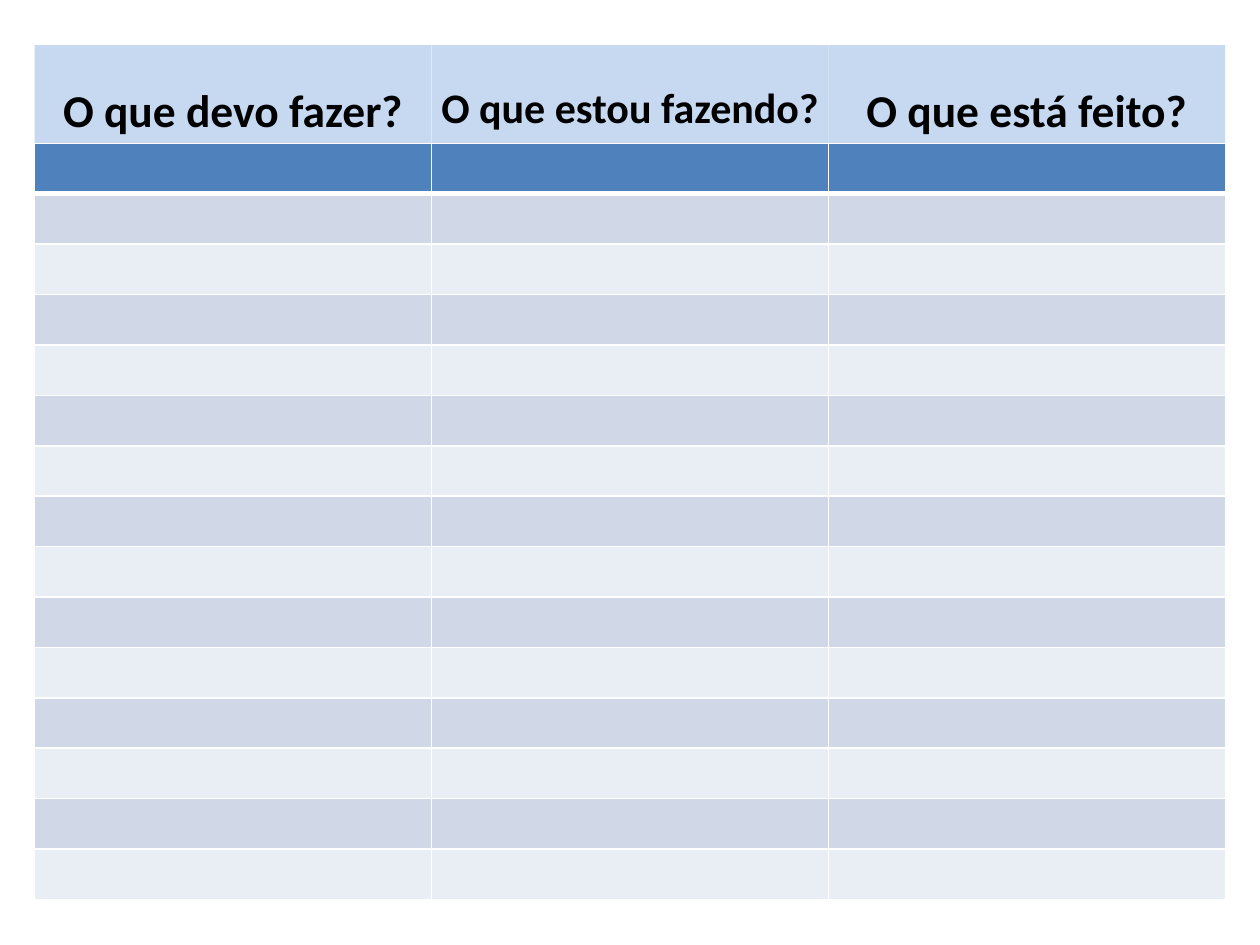
from lxml.etree import SubElement
from pptx import Presentation
from pptx.dml.color import RGBColor
from pptx.enum.shapes import MSO_SHAPE as Shape
from pptx.enum.text import MSO_AUTO_SIZE as AutoSize, PP_ALIGN as Align
from pptx.oxml.ns import qn
from pptx.util import Cm, Pt

PALE_BLUE = RGBColor(0xC6, 0xD9, 0xF1)
HEADER_BLUE = RGBColor(0x4F, 0x81, 0xBD)
BANDS = (RGBColor(0xD0, 0xD8, 0xE8), RGBColor(0xE9, 0xED, 0xF4))
WHITE = RGBColor(0xFF, 0xFF, 0xFF)
BLACK = RGBColor(0, 0, 0)

# Heading, text size, extra width on each side in cm
STAGES = (
    ("O que devo fazer?", 26, 0),
    ("O que estou fazendo?", 24, 0.2),
    ("O que está feito?", 26, 0),
)
TASK_ROWS = 15


def add_text(slide, text, left, top, width, height, *, size, color=BLACK,
             bold=True, font="Calibri", align=Align.CENTER):
    label = slide.shapes.add_textbox(left, top, width, height)
    frame = label.text_frame
    frame.word_wrap = True
    frame.auto_size = AutoSize.SHAPE_TO_FIT_TEXT
    paragraph = frame.paragraphs[0]
    paragraph.alignment = align
    run = paragraph.add_run()
    run.text = text
    run.font.name, run.font.size, run.font.bold = font, Pt(size), bold
    run.font.color.rgb = color


def style_cell(cell, fill, bottom_width=1):
    cell.margin_top = cell.margin_bottom = Cm(0.1)
    # Borders come before the fill in the cell properties
    properties = cell._tc.get_or_add_tcPr()
    for edge, width in (("L", 1), ("R", 1), ("T", 1), ("B", bottom_width)):
        border = SubElement(properties, qn(f"a:ln{edge}"), w=str(Pt(width)))
        solid = SubElement(border, qn("a:solidFill"))
        SubElement(solid, qn("a:srgbClr"), val=str(WHITE))
    cell.fill.solid()
    cell.fill.fore_color.rgb = fill


def add_stage(slide, heading, size, overhang, left, top, width, height):
    panel = slide.shapes.add_shape(Shape.RECTANGLE, left, top, width, height)
    panel.shadow.inherit = False
    panel.fill.solid()
    panel.fill.fore_color.rgb = PALE_BLUE
    panel.line.fill.background()
    add_text(slide, heading, left - Cm(overhang), top + Cm(0.61),
             width + 2 * Cm(overhang), Cm(1.37 * size / 26), size=size)


def add_task_grid(slide, left, top, width, height):
    grid = slide.shapes.add_table(TASK_ROWS, len(STAGES),
                                  left, top, width, height).table
    for index, row in enumerate(grid.rows):
        # The header has a thick lower edge, shared with the first band
        fill = BANDS[(index - 1) % 2] if index else HEADER_BLUE
        for cell in row.cells:
            style_cell(cell, fill, bottom_width=1 if index else 3)


def add_board(slide, left, top, width, height):
    stage_width = width // len(STAGES)
    for index, stage in enumerate(STAGES):
        add_stage(slide, *stage, left + index * stage_width, top,
                  stage_width, height)
    heading_height = Cm(1.98)
    add_task_grid(slide, left, top + heading_height, width, Cm(15.24))


presentation = Presentation()
presentation.slide_width, presentation.slide_height = Cm(25.4), Cm(19.05)
board_slide = presentation.slides.add_slide(presentation.slide_layouts[6])
add_board(board_slide, Cm(0.7), Cm(0.91), Cm(24), Cm(17.2))
presentation.save("out.pptx")
